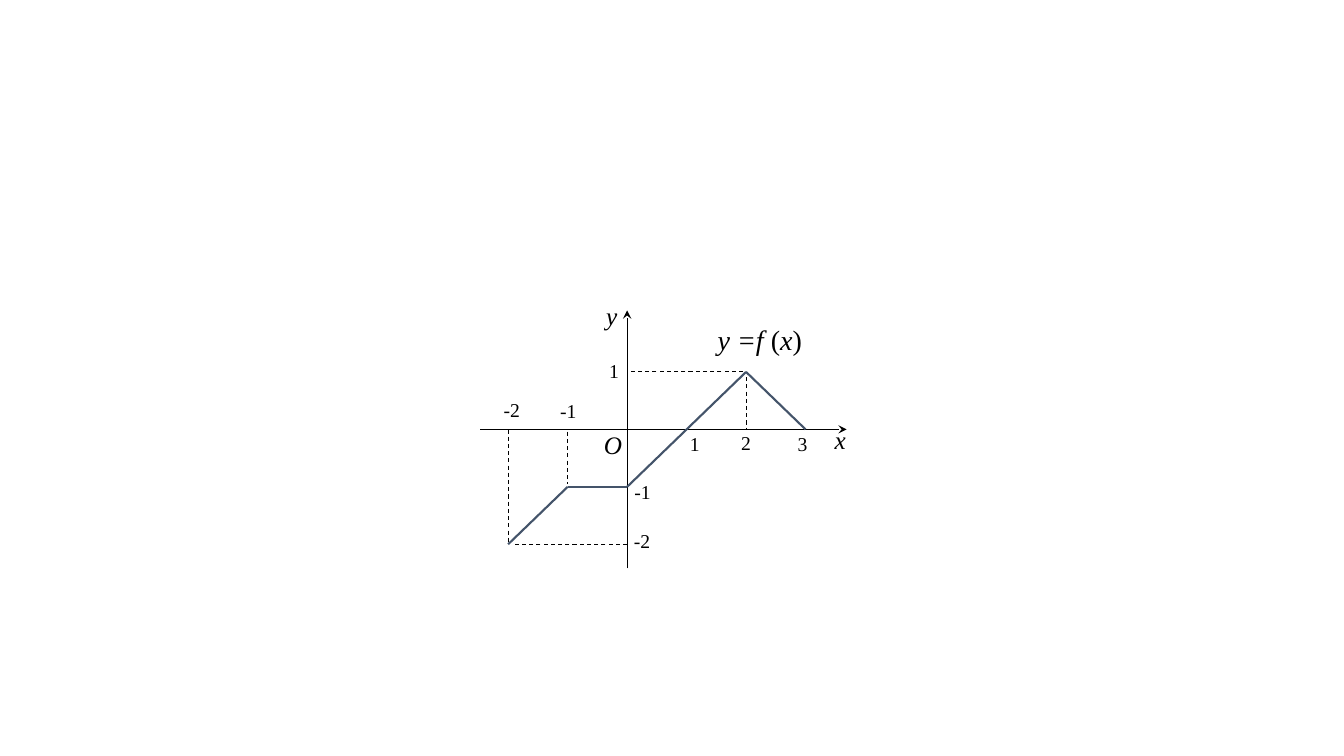
from itertools import pairwise

from lxml.etree import SubElement
from pptx import Presentation
from pptx.dml.color import RGBColor
from pptx.enum.dml import MSO_LINE
from pptx.enum.shapes import MSO_CONNECTOR
from pptx.enum.text import MSO_ANCHOR, MSO_AUTO_SIZE, PP_ALIGN
from pptx.oxml.ns import qn
from pptx.util import Inches, Pt

THEME = {
    "font": "Times New Roman",
    "ink": RGBColor(0x00, 0x00, 0x00),
    "curve": RGBColor(0x44, 0x54, 0x6A),
    "tick_size": 14,
    "axis_size": 18,
    "formula_size": 20,
    "thin": 0.75,
    "thick": 1.5,
}
ORIGIN_X, ORIGIN_Y = 6.22, 4.26
UNIT_X, UNIT_Y = 0.59, 0.57

presentation = Presentation()
presentation.slide_width = Inches(13.33)
presentation.slide_height = Inches(7.5)
slide = presentation.slides.add_slide(presentation.slide_layouts[6])


def add_line(start, end, color, width, dash=None, arrow=False):
    ends = [
        Inches(length)
        for x, y in (start, end)
        for length in (ORIGIN_X + x * UNIT_X, ORIGIN_Y - y * UNIT_Y)
    ]
    connector = slide.shapes.add_connector(MSO_CONNECTOR.STRAIGHT, *ends)
    line_format = {"width": Pt(width), "dash_style": dash}
    connector.line.color.rgb = color
    for name, value in line_format.items():
        setattr(connector.line, name, value)
    if arrow:
        SubElement(connector.line._get_or_add_ln(), qn("a:tailEnd"), type="stealth")
    SubElement(connector._element.spPr, qn("a:effectLst"))


def add_label(center, runs, size, width, height):
    x, y = center
    box = slide.shapes.add_textbox(
        Inches(ORIGIN_X + x * UNIT_X - width / 2),
        Inches(ORIGIN_Y - y * UNIT_Y - height / 2),
        Inches(width),
        Inches(height),
    )
    frame_format = {
        "word_wrap": False,
        "auto_size": MSO_AUTO_SIZE.SHAPE_TO_FIT_TEXT,
        "vertical_anchor": MSO_ANCHOR.TOP,
    }
    for name, value in frame_format.items():
        setattr(box.text_frame, name, value)
    paragraph = box.text_frame.paragraphs[0]
    paragraph.alignment = PP_ALIGN.CENTER
    for text, italic in runs:
        run = paragraph.add_run()
        run.text = text
        run.font.color.rgb = THEME["ink"]
        font_format = {"name": THEME["font"], "size": Pt(size), "italic": italic}
        for name, value in font_format.items():
            setattr(run.font, name, value)


axes = [((-2.47, 0), (3.69, 0)), ((0, -2.42), (0, 2.07))]
for start, end in axes:
    add_line(start, end, THEME["ink"], THEME["thin"], arrow=True)

curve_points = [(-2, -2), (-1, -1), (0, -1), (1, 0), (2, 1), (3, 0)]
for start, end in pairwise(curve_points):
    add_line(start, end, THEME["curve"], THEME["thick"])

guides = [
    ((2, 0.91), (2, 0)),
    ((-1, -0.04), (-1, -0.95)),
    ((-2, 0), (-2, -2)),
    ((0, -2), (-1.9, -2)),
    ((1.95, 1), (0.05, 1)),
]
for start, end in guides:
    add_line(start, end, THEME["ink"], THEME["thin"], dash=MSO_LINE.DASH)

axis_labels = [
    ("y", (-0.26, 1.98), 0.31),
    ("x", (3.58, -0.18), 0.31),
    ("O", (-0.24, -0.26), 0.38),
]
for text, center, width in axis_labels:
    add_label(center, [(text, True)], THEME["axis_size"], width, 0.4)

tick_labels = [
    ("3", (2.95, -0.25)),
    ("2", (2, -0.23)),
    ("1", (1.14, -0.25)),
    ("1", (-0.22, 1.02)),
    ("-1", (-0.99, 0.32)),
    ("-2", (-1.94, 0.33)),
    ("-2", (0.25, -1.95)),
    ("-1", (0.26, -1.09)),
]
for text, center in tick_labels:
    add_label(center, [(text, False)], THEME["tick_size"], 0.23 + 0.07 * len(text), 0.34)

formula = [("y =f ", True), ("(", False), ("x", True), (")", False)]
add_label((2.23, 1.56), formula, THEME["formula_size"], 1.07, 0.44)

presentation.save("out.pptx")
